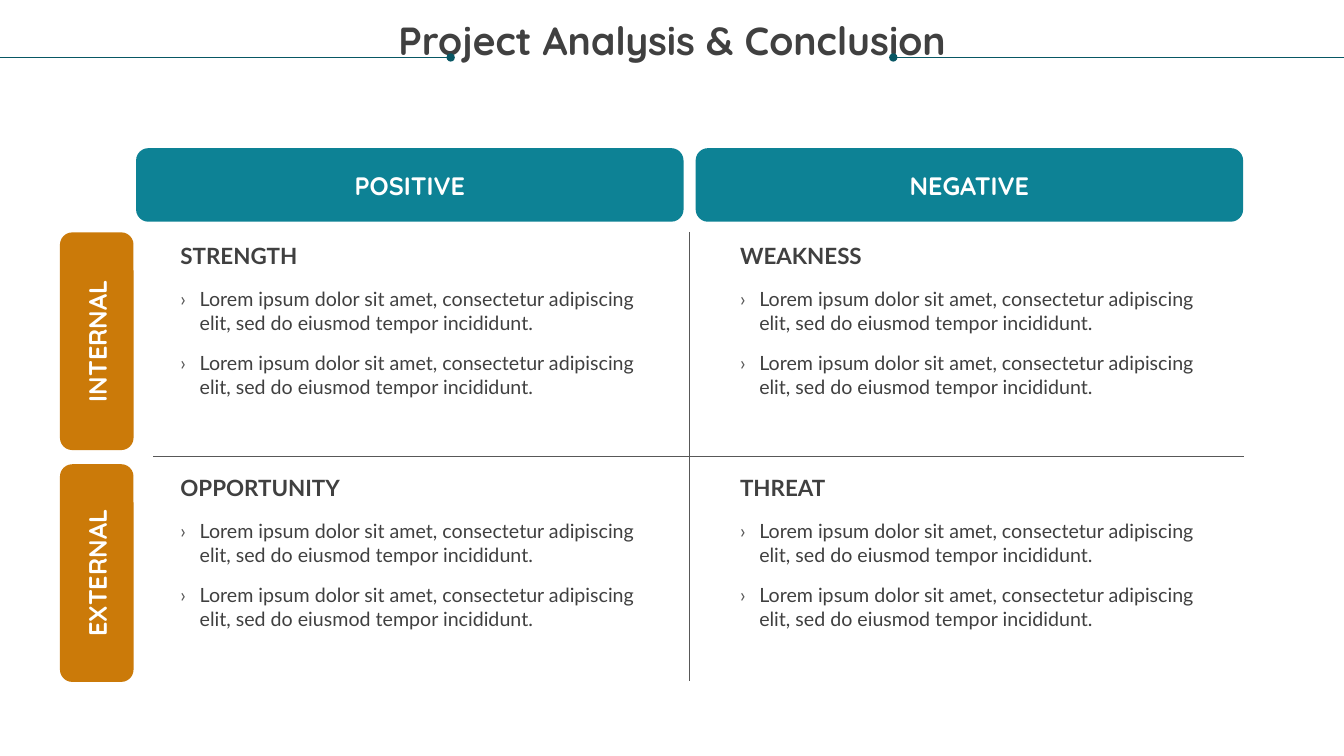
from lxml.etree import SubElement
from pptx import Presentation
from pptx.dml.color import RGBColor
from pptx.enum.shapes import MSO_CONNECTOR as Connector, MSO_SHAPE as Shape
from pptx.enum.text import MSO_ANCHOR as Anchor, MSO_AUTO_SIZE as AutoSize, PP_ALIGN as Align
from pptx.oxml.ns import qn
from pptx.util import Inches, Pt

COLUMN_LEFT = 1.35
COLUMN_PITCH = 5.55
ROW_TOP = 2.4
ROW_PITCH = 2.3
COLUMNS = ["POSITIVE", "NEGATIVE"]
ROWS = ["INTERNAL", "EXTERNAL"]
QUADRANTS = [["STRENGTH", "WEAKNESS"], ["OPPORTUNITY", "THREAT"]]
POINT = "Lorem ipsum dolor sit amet, consectetur adipiscing elit, sed do eiusmod tempor incididunt."


def color(value):
    return RGBColor.from_string(value)


class SwotPage:
    heading_font = "Quicksand"
    body_font = "Lato"
    ink = "404040"
    rule = "585858"
    accent = "085764"
    teal = "0D8295"
    orange = "CB7A09"
    white = "FFFFFF"

    def __init__(self, page):
        self.page = page

    def place(self, shape, left, top, width, height):
        shape.left, shape.top = Inches(left), Inches(top)
        shape.width, shape.height = Inches(width), Inches(height)

    def reset_frame(self, frame):
        frame.word_wrap = True
        frame.auto_size = AutoSize.NONE
        frame.vertical_anchor = Anchor.TOP
        frame.margin_left = frame.margin_right = 0
        frame.margin_top = frame.margin_bottom = 0

    def style(self, para, font, size, ink, bold=False, align=Align.LEFT):
        para.alignment = align
        for span in para.runs:
            span.font.name = font
            span.font.size = Pt(size)
            span.font.bold = bold
            span.font.color.rgb = color(ink)

    def title(self, text):
        title = self.page.shapes.title
        self.place(title, 0.25, 0.21, 12.83, 0.73)
        self.reset_frame(title.text_frame)
        title.text_frame.text = text
        para = title.text_frame.paragraphs[0]
        para.line_spacing = 0.9
        self.style(para, self.heading_font, 28, self.ink, True, Align.CENTER)

    def line(self, start, end, ink, dot=False):
        line = self.page.shapes.add_connector(
            Connector.STRAIGHT, *(Inches(value) for value in (*start, *end)))
        line.line.color.rgb = color(ink)
        line.line.width = Pt(0.5)
        if dot:
            SubElement(line.line._get_or_add_ln(), qn("a:tailEnd"), type="oval")
        SubElement(line._element.spPr, qn("a:effectLst"))

    def bar(self, text, left, top, width, height, fill, rotation=0):
        bar = self.page.shapes.add_shape(
            Shape.ROUNDED_RECTANGLE, Inches(left), Inches(top), Inches(width), Inches(height))
        bar.shadow.inherit = False
        bar.rotation = rotation
        bar.fill.solid()
        bar.fill.fore_color.rgb = color(fill)
        bar.line.fill.background()
        bar.text_frame.text = text
        bar.text_frame.vertical_anchor = Anchor.MIDDLE
        self.style(bar.text_frame.paragraphs[0], self.heading_font, 18, self.white, True, Align.CENTER)

    def heading(self, text, left, top):
        box = self.page.shapes.add_textbox(Inches(left), Inches(top), Inches(4.55), Inches(0.27))
        self.reset_frame(box.text_frame)
        box.text_frame.text = text
        self.style(box.text_frame.paragraphs[0], self.body_font, 16, self.ink, True)

    def bullet(self, para):
        properties = para._p.get_or_add_pPr()
        properties.set("marL", str(Inches(0.19)))
        properties.set("indent", str(-Inches(0.19)))
        bullet_color = SubElement(properties, qn("a:buClr"))
        SubElement(bullet_color, qn("a:srgbClr"), val=self.rule)
        SubElement(properties, qn("a:buFont"), typeface=self.body_font)
        SubElement(properties, qn("a:buChar"), char="›")

    def bullets(self, index, points, left, top):
        body = self.page.placeholders[index]
        self.place(body, left, top, 4.55, 1.11)
        frame = body.text_frame
        self.reset_frame(frame)
        frame.text = "\n".join(points)
        for number, para in enumerate(frame.paragraphs):
            self.bullet(para)
            para.space_before = Pt(12 if number else 0)
            self.style(para, self.body_font, 14, self.ink)


def main():
    deck = Presentation()
    deck.slide_width, deck.slide_height = Inches(13.33), Inches(7.5)
    comparison_layout = deck.slide_layouts[4]
    swot = SwotPage(deck.slides.add_slide(comparison_layout))

    swot.title("Project Analysis & Conclusion")
    for edge, dot in [(0, 4.47), (13.33, 8.86)]:
        swot.line((edge, 0.57), (dot, 0.57), swot.accent, dot=True)

    for column, label in enumerate(COLUMNS):
        swot.bar(label, COLUMN_LEFT + column * COLUMN_PITCH, 1.47, 5.43, 0.73, swot.teal)
    for row, label in enumerate(ROWS):
        swot.bar(label, -0.12, 3.02 + row * ROW_PITCH, 2.16, 0.73, swot.orange, rotation=270)

    swot.line((1.52, 4.53), (12.34, 4.53), swot.rule)
    swot.line((6.84, 2.3), (6.84, 6.76), swot.rule)

    for row, names in enumerate(QUADRANTS):
        for column, name in enumerate(names):
            left = COLUMN_LEFT + 0.44 + column * COLUMN_PITCH
            top = ROW_TOP + row * ROW_PITCH
            swot.heading(name, left, top)
            swot.bullets(1 + row * 2 + column, [POINT] * 2, left, top + 0.45)

    deck.save("out.pptx")


if __name__ == "__main__":
    main()
